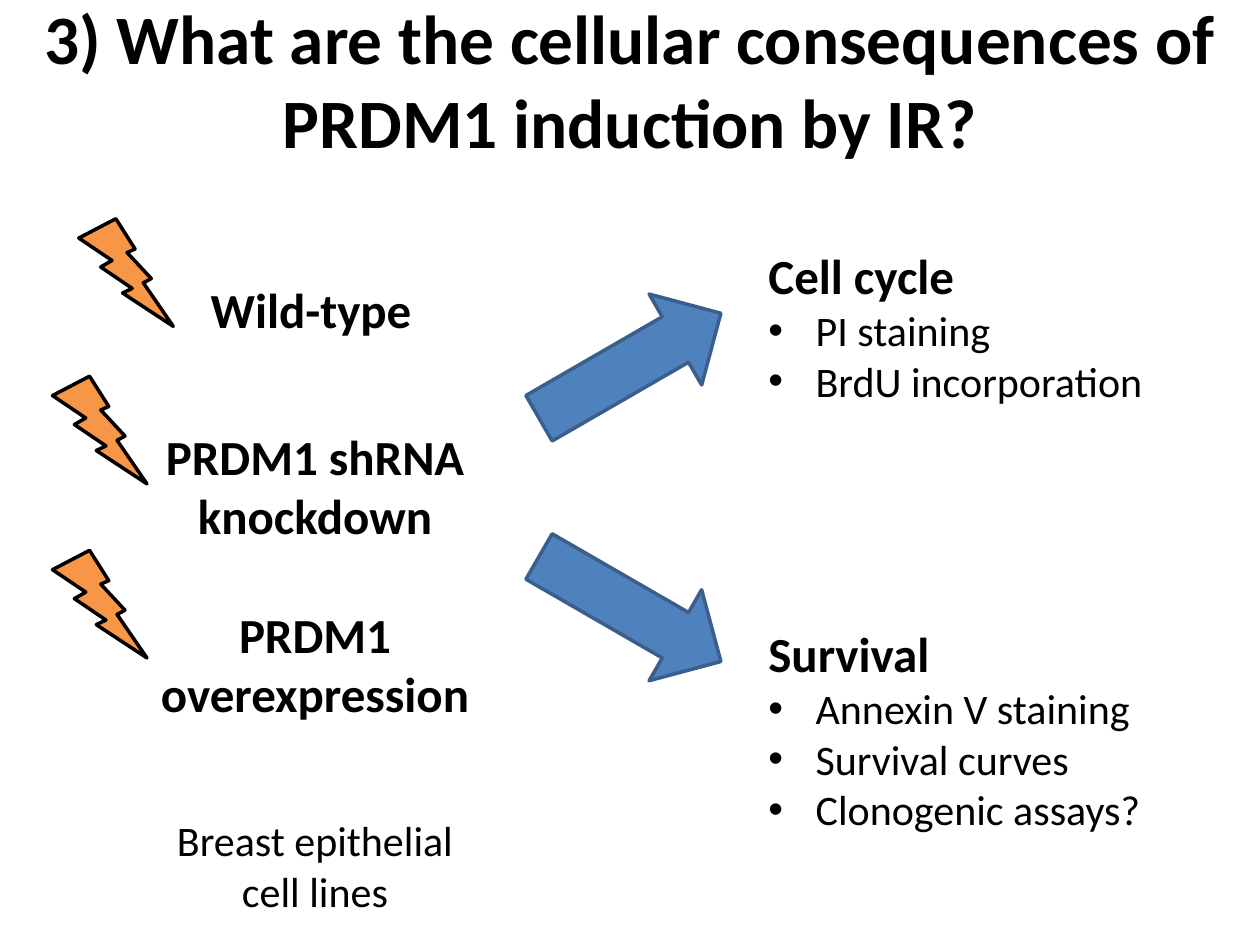
from dataclasses import dataclass

import pptx
import pptx.dml.color
import pptx.enum.shapes
import pptx.enum.text
import pptx.util
from lxml import etree
from pptx.oxml.ns import qn

Pt = pptx.util.Pt
ALIGN = pptx.enum.text.PP_ALIGN
ANCHOR = pptx.enum.text.MSO_ANCHOR
PRESET = pptx.enum.shapes.MSO_SHAPE

FONT = "Calibri"
BLACK, ORANGE, BLUE, DARK_BLUE = "000000", "F79646", "4F81BD", "3A5F8C"
BULLET_INDENT = 27


@dataclass
class Box:
    left: float
    top: float
    width: float
    height: float


@dataclass
class Label:
    box: Box
    lines: list[str]
    size: float = 28
    bold: bool = True
    anchor: ANCHOR = ANCHOR.TOP


@dataclass
class Assay:
    box: Box
    heading: str
    methods: list[str]


@dataclass
class Symbol:
    preset: PRESET
    box: Box
    fill: str
    line: str
    rotation: float = 0


TITLE = Label(Box(0, 0, 720, 90),
              ["3) What are the cellular consequences of PRDM1 induction by IR?"],
              size=39.6, anchor=ANCHOR.MIDDLE)

CELL_LINES = [
    Label(Box(98.5, 156, 158.5, 41), ["Wild-type"]),
    Label(Box(84, 240, 192, 75), ["PRDM1 shRNA knockdown"]),
    Label(Box(84, 342, 192, 75), ["PRDM1", "overexpression"]),
    Label(Box(81, 462, 198, 65.5), ["Breast epithelial cell lines"], size=24, bold=False),
]

ASSAYS = [
    Assay(Box(432, 137, 240, 99.5), "Cell cycle", ["PI staining", "BrdU incorporation"]),
    Assay(Box(432, 353, 288, 128), "Survival",
          ["Annexin V staining", "Survival curves", "Clonogenic assays?"]),
]

IRRADIATION = [Symbol(PRESET.LIGHTNING_BOLT, Box(left, top, 54, 61.5), ORANGE, BLACK)
               for left, top in ((45, 125), (30, 215), (30, 314.5))]
OUTCOMES = [Symbol(PRESET.RIGHT_ARROW, Box(300, top, 120, 60), BLUE, DARK_BLUE, rotation)
            for top, rotation in ((179, -30), (318, 30))]


def color(value: str) -> pptx.dml.color.RGBColor:
    return pptx.dml.color.RGBColor.from_string(value)


def place(box: Box) -> tuple:
    return Pt(box.left), Pt(box.top), Pt(box.width), Pt(box.height)


def add_text(slide, box: Box, lines: list[str], anchor=ANCHOR.TOP):
    """Add a wrapping text box with one paragraph per line and return its paragraphs."""
    frame = slide.shapes.add_textbox(*place(box)).text_frame
    frame.word_wrap = True
    frame.vertical_anchor = anchor
    frame.text = "\n".join(lines)
    return frame.paragraphs


def style(paragraph, size: float, bold: bool, align: ALIGN) -> None:
    paragraph.alignment = align
    for run in paragraph.runs:
        run.font.name = FONT
        run.font.size = Pt(size)
        run.font.bold = bold
        run.font.color.rgb = color(BLACK)


def add_bullet(paragraph) -> None:
    properties = paragraph._p.get_or_add_pPr()
    properties.set("marL", str(Pt(BULLET_INDENT)))
    properties.set("indent", str(-Pt(BULLET_INDENT)))
    etree.SubElement(properties, qn("a:buFont"), typeface="Arial")
    etree.SubElement(properties, qn("a:buChar"), char="•")


def draw_label(slide, label: Label) -> None:
    for paragraph in add_text(slide, label.box, label.lines, label.anchor):
        style(paragraph, label.size, label.bold, ALIGN.CENTER)


def draw_assay(slide, assay: Assay) -> None:
    heading, *methods = add_text(slide, assay.box, [assay.heading, *assay.methods])
    style(heading, 28, True, ALIGN.LEFT)
    for method in methods:
        style(method, 24, False, ALIGN.LEFT)
        add_bullet(method)


def draw_symbol(slide, symbol: Symbol) -> None:
    shape = slide.shapes.add_shape(symbol.preset, *place(symbol.box))
    shape.rotation = symbol.rotation
    shape.shadow.inherit = False
    shape.fill.solid()
    shape.fill.fore_color.rgb = color(symbol.fill)
    shape.line.color.rgb = color(symbol.line)
    shape.line.width = Pt(2)


def main() -> None:
    deck = pptx.Presentation()
    deck.slide_width, deck.slide_height = Pt(720), Pt(540)
    slide = deck.slides.add_slide(deck.slide_layouts[6])
    for label in [TITLE, *CELL_LINES]:
        draw_label(slide, label)
    for symbol in IRRADIATION + OUTCOMES:
        draw_symbol(slide, symbol)
    for assay in ASSAYS:
        draw_assay(slide, assay)
    deck.save("out.pptx")


if __name__ == "__main__":
    main()
